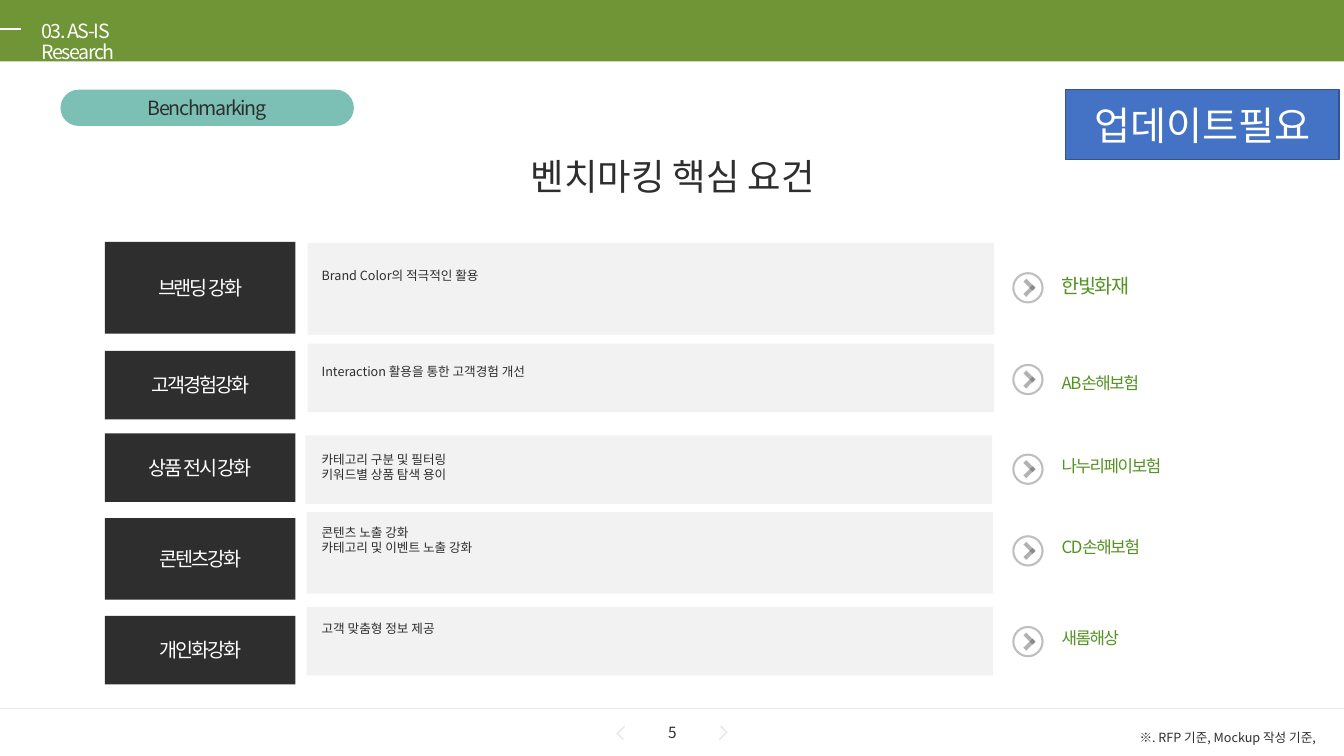
import pptx
import pptx.dml.color
import pptx.enum.shapes
import pptx.enum.text
import pptx.oxml
import pptx.oxml.ns
import pptx.util

SCALE = 9144
FONT = "Noto Sans CJK KR"
COLORS = {
    "header": "709536", "rule": "E9E7EC", "badge": "7BBFB5", "dark": "2E2E2E",
    "panel": "F2F2F2", "white": "FFFFFF", "ring": "BFBFBF", "arrow": "595959",
    "company": "549222", "notice": "4472C4", "notice_line": "325491",
}
SHAPES = pptx.enum.shapes.MSO_SHAPE
ALIGN = pptx.enum.text.PP_ALIGN
ANCHOR = pptx.enum.text.MSO_ANCHOR

ROWS = [
    dict(box=(104, 240, 189, 91), label="브랜딩 강화", lines=["Brand Color의 적극적인 활용"],
         panel=(201, 1), text_y=21, icon_y=31, company="한빛화재", company_y=27, company_size=14),
    dict(box=(104, 348, 189, 68), label="고객경험강화", lines=["Interaction 활용을 통한 고객경험 개선"],
         panel=(201, -7), text_y=8, icon_y=14, company="AB손해보험", company_y=17),
    dict(box=(104, 430, 189, 68), label="상품 전시 강화",
         lines=["카테고리 구분 및 필터링", "키워드별 상품 탐색 용이"],
         panel=(199, 2), text_y=13, icon_y=21, company="나누리페이보험", company_y=17),
    dict(box=(104, 514, 189, 81), label="콘텐츠강화",
         lines=["콘텐츠 노출 강화", "카테고리 및 이벤트 노출 강화"],
         panel=(200, -6), text_y=2, icon_y=18, company="CD손해보험", company_y=14),
    dict(box=(104, 611, 189, 68), label="개인화강화", lines=["고객 맞춤형 정보 제공"],
         panel=(200, -9), text_y=0, icon_y=11, company="새롬해상", company_y=7),
]


def px(length):
    """Turn a length in px into EMU."""
    return pptx.util.Emu(round(length * SCALE))


def rgb(name):
    """Look up a palette colour."""
    return pptx.dml.color.RGBColor.from_string(COLORS[name])


def write_text(shape, lines, size, color="dark", align=ALIGN.LEFT, anchor=ANCHOR.TOP,
               tracking=0, inset=10, line_spacing=None):
    """Fill a shape with formatted paragraphs."""
    frame = shape.text_frame
    frame.word_wrap = True
    frame.vertical_anchor = anchor
    frame.margin_left = frame.margin_right = px(inset)
    frame.margin_top = frame.margin_bottom = px(5)
    for index, line in enumerate(lines):
        paragraph = frame.add_paragraph() if index else frame.paragraphs[0]
        paragraph.alignment = align
        paragraph.line_spacing = line_spacing
        run = paragraph.add_run()
        run.text = line
        run.font.size = pptx.util.Pt(size)
        run.font.name = FONT
        run.font.color.rgb = rgb(color)
        properties = run.font._element
        properties.set("spc", str(round(tracking * 100)))
        east_asian = pptx.oxml.parse_xml(
            f'<a:ea {pptx.oxml.ns.nsdecls("a")} typeface="{FONT}"/>')
        properties.find(pptx.oxml.ns.qn("a:latin")).addnext(east_asian)


def add_text(slide, box, lines, **text_format):
    """Add a text box."""
    write_text(slide.shapes.add_textbox(*map(px, box)), lines, **text_format)


def add_box(shapes, box, fill, kind=SHAPES.RECTANGLE, line=None, line_width=1,
            rotation=0, adjustments=(), opacity=None):
    """Add a flat filled preset shape."""
    shape = shapes.add_shape(kind, *map(px, box))
    shape.shadow.inherit = False
    shape.rotation = rotation
    for index, value in enumerate(adjustments):
        shape.adjustments[index] = value
    shape.fill.solid()
    shape.fill.fore_color.rgb = rgb(fill)
    if opacity is not None:
        color = shape._element.spPr.find(".//" + pptx.oxml.ns.qn("a:srgbClr"))
        color.append(pptx.oxml.parse_xml(
            f'<a:alpha {pptx.oxml.ns.nsdecls("a")} val="{opacity * 1000}"/>'))
    if line:
        shape.line.color.rgb = rgb(line)
        shape.line.width = pptx.util.Pt(line_width)
    else:
        shape.line.fill.background()
    return shape


def add_rule(slide, left, top, width, color, weight):
    """Add a horizontal line without a shadow."""
    rule = slide.shapes.add_connector(
        pptx.enum.shapes.MSO_CONNECTOR.STRAIGHT, px(left), px(top), px(left + width), px(top))
    rule.line.color.rgb = rgb(color)
    rule.line.width = pptx.util.Pt(weight)
    rule._element.spPr.append(
        pptx.oxml.parse_xml(f'<a:effectLst {pptx.oxml.ns.nsdecls("a")}/>'))


def draw_header(slide, box):
    """Draw the green band with its section title."""
    left, top, width, height = box
    add_box(slide.shapes, box, "header")
    add_rule(slide, left, top + 29, 21, "white", 1.5)
    add_text(slide, (left + 31, top + 16, 161, 31), ["03. AS-IS Research"],
             size=14, color="white", tracking=-1, line_spacing=0.9)


def draw_heading(slide, box):
    """Draw the topic badge, the notice and the slide title."""
    left, top, width, height = box
    badge = add_box(slide.shapes, (left, top, 291, 36), "badge",
                    SHAPES.ROUNDED_RECTANGLE, adjustments=[0.5])
    write_text(badge, ["Benchmarking"], size=14, align=ALIGN.CENTER,
               anchor=ANCHOR.MIDDLE, tracking=-1)
    notice = add_box(slide.shapes, (left + width - 271, top, 271, 69), "notice", line="notice_line")
    write_text(notice, ["업데이트필요"], size=28, color="white", align=ALIGN.CENTER,
               anchor=ANCHOR.MIDDLE)
    add_text(slide, (left + 456, top + 59, 303, 54), ["벤치마킹 핵심 요건"],
             size=26, align=ALIGN.CENTER)


def draw_arrow_icon(slide, left, top):
    """Draw a ringed arrow as one group."""
    shapes = slide.shapes.add_group_shape().shapes
    add_box(shapes, (left, top, 29, 29), "white", SHAPES.OVAL, line="ring", line_width=1.5)
    for offset, rotation in ((11, 45), (5, 135)):
        add_box(shapes, (left + 14, top + offset, 4, 13), "arrow", rotation=rotation, opacity=46)


def draw_row(slide, box, label, lines, panel, text_y, icon_y, company, company_y, company_size=12):
    """Draw a requirement with its details and example company."""
    left, top, width, height = box
    add_box(slide.shapes, (left + panel[0], top + panel[1], 681, height), "panel")
    add_text(slide, (left + 213, top + text_y, 604, 10 + 15 * len(lines)), lines, size=9, inset=2)
    label_shape = add_box(slide.shapes, box, "dark")
    write_text(label_shape, [label], size=14, color="white", align=ALIGN.CENTER,
               anchor=ANCHOR.MIDDLE, tracking=-1.5)
    draw_arrow_icon(slide, left + 901, top + icon_y)
    add_text(slide, (left + 939, top + company_y, 238, 30), [company],
             size=company_size, color="company", tracking=-1)


def draw_footer(slide, box):
    """Draw the page number between chevrons and the footnote."""
    left, top, width, height = box
    add_rule(slide, left, top, width, "rule", 0.5)
    for chevron_left, rotation in ((613, 315), (708, 135)):
        add_box(slide.shapes, (left + chevron_left, top + 19, 12, 10), "rule", SHAPES.HALF_FRAME,
                rotation=rotation, adjustments=[0.14, 0.16])
    add_text(slide, (left + 628, top + 11, 78, 26), ["5"], size=11,
             align=ALIGN.CENTER, anchor=ANCHOR.MIDDLE)
    add_text(slide, (left + 808, top + 16, 499, 25), ["※. RFP 기준, Mockup 작성 기준,"],
             size=9, align=ALIGN.RIGHT, inset=2)


def main():
    """Build and save the presentation."""
    presentation = pptx.Presentation()
    presentation.slide_width, presentation.slide_height = px(1333), px(750)
    slide = presentation.slides.add_slide(presentation.slide_layouts[6])
    draw_header(slide, (0, 0, 1333, 61))
    draw_heading(slide, (60, 89, 1268, 113))
    for row in ROWS:
        draw_row(slide, **row)
    draw_footer(slide, (0, 703, 1333, 47))
    presentation.save("out.pptx")


if __name__ == "__main__":
    main()
